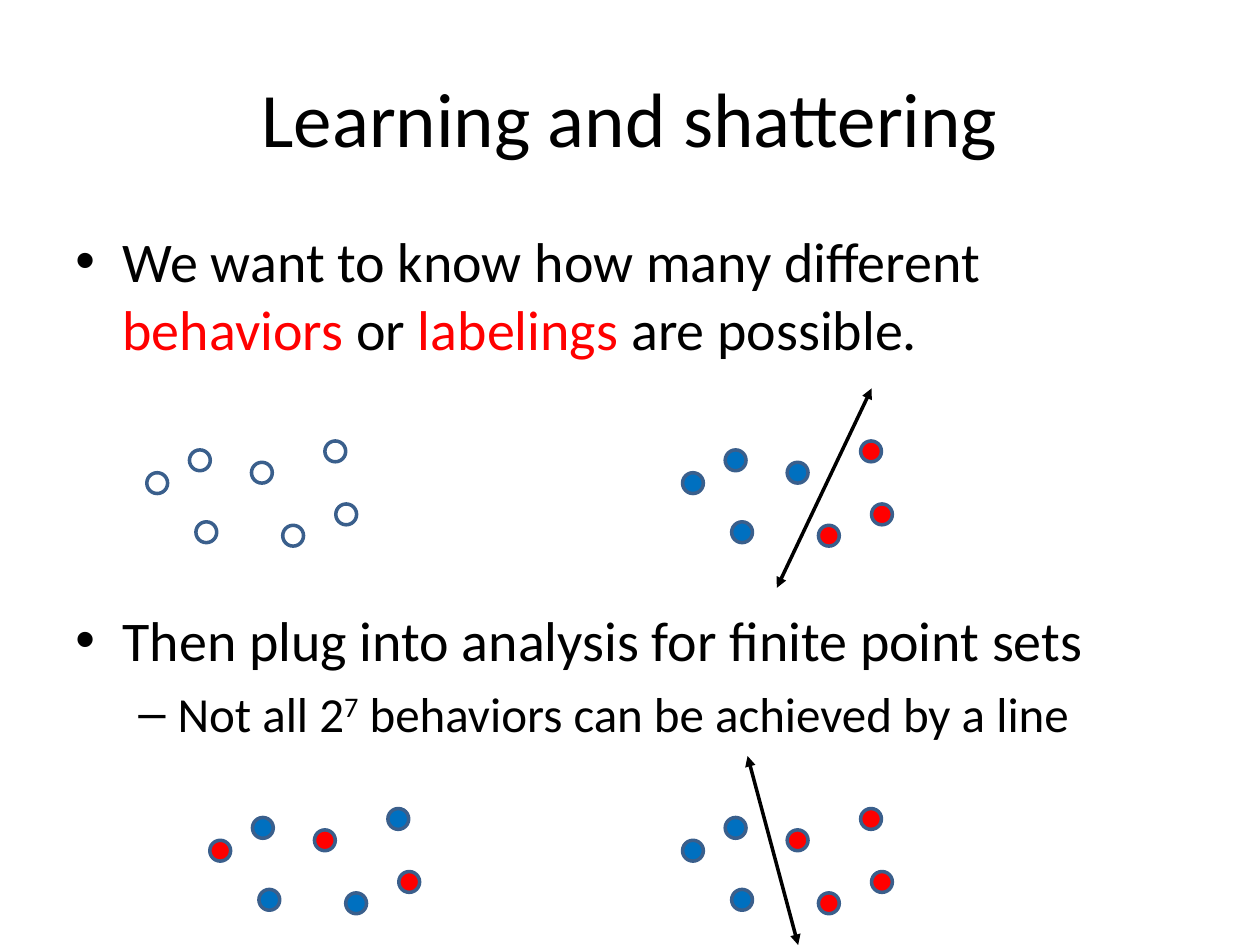
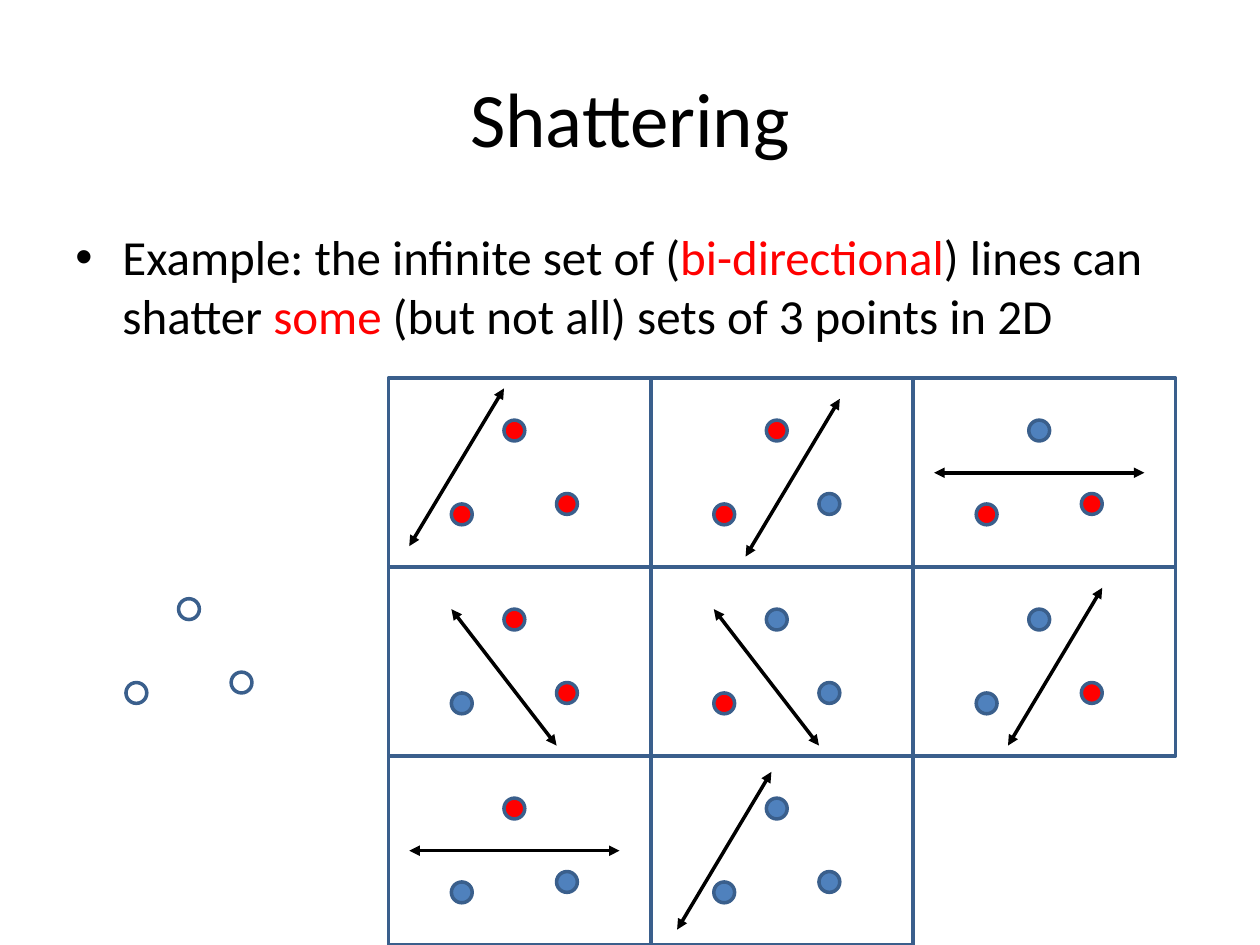
"""Build two slides on shattering point sets with lines."""
from dataclasses import dataclass

from lxml import etree
from pptx import Presentation
from pptx import util as u
from pptx.dml import color as col
from pptx.enum import shapes as sh, text as tx
from pptx.oxml import ns

HUES = {
    "ink": "000000",
    "red": "FF0000",
    "blue": "0070C0",
    "steel": "4F81BD",
    "edge": "3A5F8C",
}
FACE = "Calibri"
DOT = 0.42
WIDE, HIGH = 5.29, 3.81
LEFT, TOP = 7.83, 7.62
COLS = 3
SEVEN = [(0.99, 1.63), (0, 0.64), (2.11, 0.43), (0.86, 0.18),
         (3.59, 0), (2.74, 1.7), (3.81, 1.27)]
TRIO = [(2.33, 0.85), (1.27, 2.54), (3.39, 2.33)]


@dataclass
class Span:
    text: str
    hue: str = "ink"
    lift: int = 0


@dataclass
class Item:
    spans: list[Span]
    size: int = 32
    mark: str = "•"
    left: float = 0.95
    hang: float = 0.95
    gap: float = 0


@dataclass
class Arrow:
    x1: float
    y1: float
    x2: float
    y2: float


@dataclass
class Group:
    x: float
    y: float
    tags: str


@dataclass
class Cell:
    tags: str
    arrow: Arrow


RISE = Arrow(1.91, 3.6, 3.81, 0.42)
FLAT = Arrow(0.42, 1.91, 4.66, 1.91)
FALL = Arrow(3.39, 3.6, 1.27, 0.85)
CELLS = [
    Cell("RRR", Arrow(0.42, 3.39, 2.33, 0.21)),
    Cell("RRB", RISE),
    Cell("BRR", FLAT),
    Cell("RBR", FALL),
    Cell("BRB", FALL),
    Cell("BBR", RISE),
    Cell("RBB", FLAT),
    Cell("BBB", Arrow(0.53, 3.5, 2.43, 0.32)),
]
GROUPS = [
    Group(2.96, 8.89, "-------"),
    Group(13.76, 8.89, "BBBBRRR"),
    Group(13.76, 16.3, "BBRBRRR"),
    Group(4.23, 16.3, "BRRBBBR"),
]
LINES = [Arrow(15.66, 11.85, 17.57, 7.83), Arrow(16.09, 19.05, 15.07, 15.24)]
LEARN = [
    Item([Span("We want to know how many different "), Span("behaviors", "red"),
          Span(" or "), Span("labelings ", "red"), Span("are possible.")]),
    Item([Span("Then plug into analysis for finite point sets")], gap=139.5),
    Item([Span("Not all 2"), Span("7", lift=30000),
          Span(" behaviors can be achieved by a line")],
         size=28, mark="–", left=2.06, hang=0.79, gap=6),
]
SHATTER = [
    Item([Span("Example: the infinite set of ("), Span("bi-directional", "red"),
          Span(") lines can shatter "), Span("some", "red"),
          Span(" (but not all) sets of 3 points in 2D")], size=28),
]


def paint(name: str) -> col.RGBColor:
    return col.RGBColor.from_string(HUES[name])


def frame(slide, top: float, high: float):
    box = slide.shapes.add_textbox(u.Cm(1.27), u.Cm(top), u.Cm(22.86), u.Cm(high))
    box.text_frame.word_wrap = True
    return box.text_frame


def add_title(slide, words: str) -> None:
    area = frame(slide, 0.76, 3.18)
    area.vertical_anchor = tx.MSO_ANCHOR.MIDDLE
    para = area.paragraphs[0]
    para.text = words
    para.alignment = tx.PP_ALIGN.CENTER
    para.font.name, para.font.size = FACE, u.Pt(44)
    para.font.color.rgb = paint("ink")


def add_item(para, item: Item) -> None:
    props = para._p.get_or_add_pPr()
    props.set("marL", str(u.Cm(item.left)))
    props.set("indent", str(-u.Cm(item.hang)))
    etree.SubElement(props, ns.qn("a:buFont")).set("typeface", "Arial")
    etree.SubElement(props, ns.qn("a:buChar")).set("char", item.mark)
    para.space_before = u.Pt(item.gap)
    para.font.name, para.font.size = FACE, u.Pt(item.size)
    for span in item.spans:
        run = para.add_run()
        run.text = span.text
        run.font.color.rgb = paint(span.hue)
        if span.lift:
            run._r.get_or_add_rPr().set("baseline", str(span.lift))


def add_body(slide, items: list[Item]) -> None:
    area = frame(slide, 4.45, 12.57)
    for n, item in enumerate(items):
        add_item(area.add_paragraph() if n else area.paragraphs[0], item)


def add_form(slide, kind, x: float, y: float, wide: float, high: float,
             hue: str | None = None) -> None:
    form = slide.shapes.add_shape(kind, u.Cm(x), u.Cm(y), u.Cm(wide), u.Cm(high))
    form.shadow.inherit = False
    form.line.color.rgb = paint("edge")
    form.line.width = u.Pt(2)
    if hue:
        form.fill.solid()
        form.fill.fore_color.rgb = paint(hue)
    else:
        form.fill.background()


def add_dots(slide, spots: list[tuple[float, float]], group: Group, blue: str) -> None:
    hues = {"R": "red", "B": blue}
    for (x, y), tag in zip(spots, group.tags):
        add_form(slide, sh.MSO_SHAPE.OVAL, group.x + x, group.y + y, DOT, DOT,
                 hues.get(tag))


def add_arrow(slide, arrow: Arrow, x: float = 0, y: float = 0) -> None:
    line = slide.shapes.add_connector(
        sh.MSO_CONNECTOR.STRAIGHT, u.Cm(x + arrow.x1), u.Cm(y + arrow.y1),
        u.Cm(x + arrow.x2), u.Cm(y + arrow.y2))
    line.line.color.rgb = paint("ink")
    line.line.width = u.Pt(2)
    stroke = line.line._get_or_add_ln()
    for end in ("a:headEnd", "a:tailEnd"):
        etree.SubElement(stroke, ns.qn(end)).set("type", "triangle")
    etree.SubElement(line._element.spPr, ns.qn("a:effectLst"))


def add_slide(deck, words: str, items: list[Item]):
    slide = deck.slides.add_slide(deck.slide_layouts[6])
    add_title(slide, words)
    add_body(slide, items)
    return slide


def draw_learn(deck) -> None:
    slide = add_slide(deck, "Learning and shattering", LEARN)
    for group in GROUPS:
        add_dots(slide, SEVEN, group, "blue")
    for line in LINES:
        add_arrow(slide, line)


def draw_shatter(deck) -> None:
    slide = add_slide(deck, "Shattering", SHATTER)
    add_dots(slide, TRIO, Group(1.27, 11.22, "---"), "steel")
    for n, cell in enumerate(CELLS):
        row, place = divmod(n, COLS)
        x, y = LEFT + place * WIDE, TOP + row * HIGH
        add_dots(slide, TRIO, Group(x, y, cell.tags), "steel")
        add_form(slide, sh.MSO_SHAPE.RECTANGLE, x, y, WIDE, HIGH)
        add_arrow(slide, cell.arrow, x, y)


def main() -> None:
    deck = Presentation()
    deck.slide_width, deck.slide_height = u.Cm(25.4), u.Cm(19.05)
    draw_learn(deck)
    draw_shatter(deck)
    deck.save("out.pptx")


if __name__ == "__main__":
    main()
